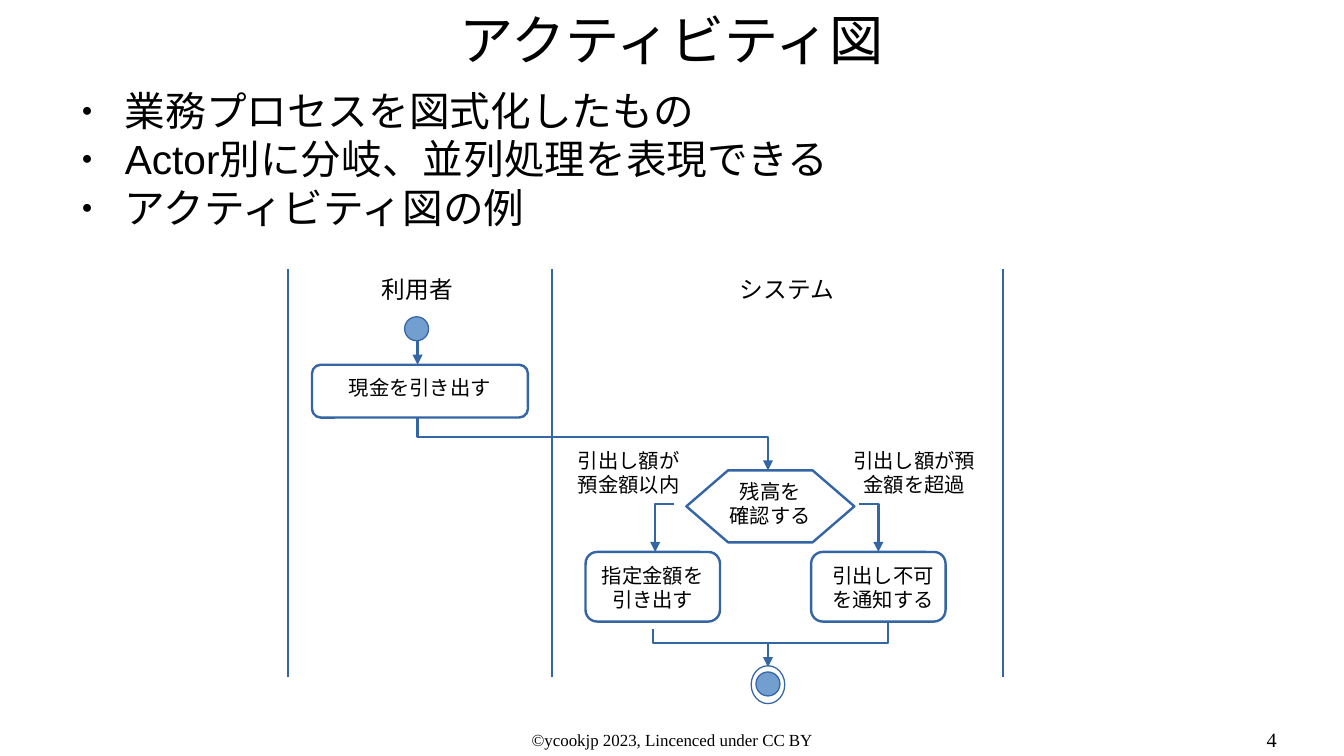
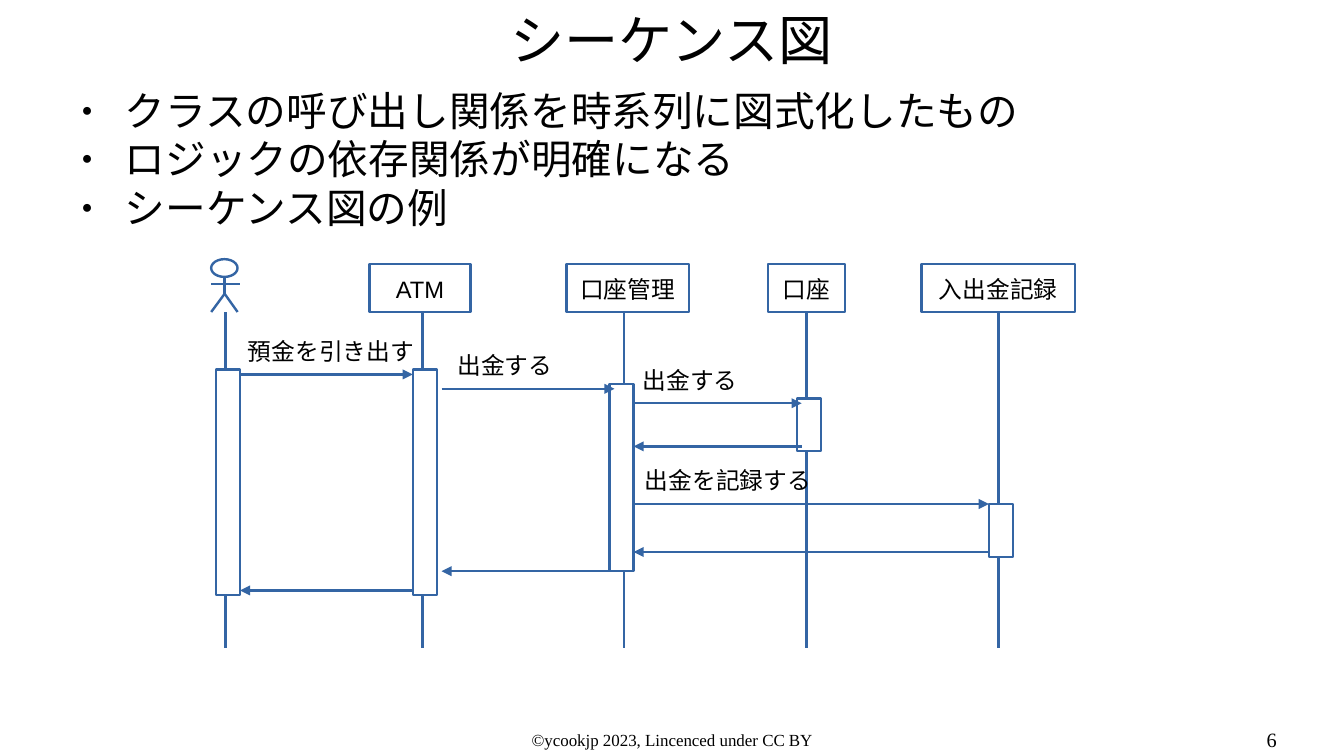
from lxml.etree import SubElement
from pptx import Presentation
from pptx.dml.color import RGBColor
from pptx.enum.shapes import MSO_CONNECTOR, MSO_SHAPE
from pptx.enum.text import MSO_ANCHOR, MSO_AUTO_SIZE, PP_ALIGN
from pptx.oxml.ns import qn
from pptx.util import Cm, Pt

BLACK = RGBColor(0x00, 0x00, 0x00)
WHITE = RGBColor(0xFF, 0xFF, 0xFF)
BLUE_LINE = RGBColor(0x34, 0x65, 0xA4)
BLUE_FILL = RGBColor(0x72, 0x9F, 0xCF)
SANS = "Arial"
SERIF = "Times New Roman"
LINE_WIDTH = 1.42
FOOTER = "©ycookjp 2023, Lincenced under CC BY"


def place(target, left, top, width, height):
    target.left, target.top = Cm(left), Cm(top)
    target.width, target.height = Cm(width), Cm(height)


def set_frame(frame, insets, anchor=MSO_ANCHOR.TOP, wrap=True):
    frame.auto_size = MSO_AUTO_SIZE.NONE
    frame.word_wrap = wrap
    frame.vertical_anchor = anchor
    frame.margin_left, frame.margin_top, frame.margin_right, frame.margin_bottom = map(Cm, insets)


def write(frame, text, size, align=PP_ALIGN.CENTER, font=SANS):
    frame.text = text
    for paragraph in frame.paragraphs:
        paragraph.alignment = align
        for run in paragraph.runs:
            run.font.name = font
            run.font.size = Pt(size)
            run.font.color.rgb = BLACK


def add_label(slide, text, box, size, insets=(0.25, 0.13, 0.25, 0.13),
              align=PP_ALIGN.CENTER, font=SANS):
    label = slide.shapes.add_textbox(*map(Cm, box))
    set_frame(label.text_frame, insets)
    write(label.text_frame, text, size, align, font)


def outline(shape, width=LINE_WIDTH, arrow=False):
    shape.line.color.rgb = BLUE_LINE
    shape.line.width = Pt(width)
    if arrow:
        SubElement(shape.element.spPr.find(qn("a:ln")), qn("a:tailEnd"), type="triangle")


def paint(shape, fill=None, width=LINE_WIDTH, arrow=False):
    shape.shadow.inherit = False
    if fill is None:
        shape.fill.background()
    else:
        shape.fill.solid()
        shape.fill.fore_color.rgb = fill
    outline(shape, width, arrow)


def add_figure(shapes, kind, box, fill=None, width=LINE_WIDTH):
    figure = shapes.add_shape(kind, *map(Cm, box))
    paint(figure, fill, width)
    return figure


def add_line(shapes, start, end, arrow=False):
    line = shapes.add_connector(MSO_CONNECTOR.STRAIGHT, *map(Cm, (*start, *end)))
    outline(line, arrow=arrow)
    SubElement(line.element.spPr, qn("a:effectLst"))


def add_route(slide, points, arrow=True):
    start, *rest = [(Cm(x), Cm(y)) for x, y in points]
    builder = slide.shapes.build_freeform(*start)
    builder.add_line_segments(rest, close=False)
    paint(builder.convert_to_shape(), arrow=arrow)


def add_action(slide, text, box, shift=0):
    action = add_figure(slide.shapes, MSO_SHAPE.ROUNDED_RECTANGLE, box)
    set_frame(action.text_frame, (0.16 + shift, 0.16, 0.16 - shift, 0))
    write(action.text_frame, text, 12)


def add_bullet(paragraph):
    properties = paragraph._p.get_or_add_pPr()
    properties.set("marL", str(Cm(1.2)))
    properties.set("indent", str(Cm(-0.9)))
    color = SubElement(properties, qn("a:buClr"))
    SubElement(color, qn("a:srgbClr"), val=str(BLACK))
    SubElement(properties, qn("a:buSzPct"), val="45000")
    SubElement(properties, qn("a:buChar"), char="●")
    paragraph.space_before = Pt(0)


def add_base_slide(deck, title, points, number):
    slide = deck.slides.add_slide(deck.slide_layouts[1])
    heading = slide.shapes.title
    place(heading, 1.4, 0.08, 25.2, 1.47)
    set_frame(heading.text_frame, (0, 0, 0, 0), MSO_ANCHOR.MIDDLE)
    write(heading.text_frame, title, 32)

    body = slide.placeholders[1]
    place(body, 1.4, 1.78, 25.2, 3.7)
    set_frame(body.text_frame, (0, 0, 0, 0))
    write(body.text_frame, "\n".join(points), 24, PP_ALIGN.LEFT)
    for paragraph in body.text_frame.paragraphs:
        add_bullet(paragraph)

    flush = (0, 0, 0, 0)
    add_label(slide, FOOTER, (9.6, 15.19, 8.8, 0.5), 10, flush, font=SERIF)
    add_label(slide, number, (20.1, 15.15, 6.5, 0.6), 12, flush, PP_ALIGN.RIGHT, SERIF)
    return slide


def draw_activity(slide):
    for x in (6, 11.5, 20.9):
        add_line(slide.shapes, (x, 5.6), (x, 14.1))
    for lane, left in (("利用者", 6.2), ("システム", 13.9)):
        add_label(slide, lane, (left, 5.6, 5, 1), 14)

    add_figure(slide.shapes, MSO_SHAPE.OVAL, (8.43, 6.6, 0.5, 0.5), BLUE_FILL, 0)
    final_node = slide.shapes.add_group_shape().shapes
    add_figure(final_node, MSO_SHAPE.OVAL, (15.75, 14, 0.5, 0.5), BLUE_FILL, 0)
    add_figure(final_node, MSO_SHAPE.OVAL, (15.65, 13.87, 0.7, 0.79), width=0)

    add_action(slide, "現金を引き出す", (6.5, 7.6, 4.5, 1.1))
    add_action(slide, "指定金額を引き出す", (12.2, 11.5, 2.8, 1.45))
    add_action(slide, "引出し不可を通知する", (16.9, 11.5, 2.8, 1.45), 0.1)

    decision = add_figure(slide.shapes, MSO_SHAPE.HEXAGON, (14.3, 9.8, 3.5, 1.5))
    decision.adjustments[0] = 0.58
    set_frame(decision.text_frame, (0, 0, 0, 0.12), MSO_ANCHOR.MIDDLE, wrap=False)
    write(decision.text_frame, "残高を\n確認する", 12)

    add_label(slide, "引出し額が預金額以内", (11.7, 9.2, 2.8, 1.4), 12)
    add_label(slide, "引出し額が預金額を超過", (17.5, 9.2, 3.1, 1.4), 12)

    add_line(slide.shapes, (8.7, 7.1), (8.7, 7.6), arrow=True)
    add_route(slide, [(8.7, 8.7), (8.7, 9.1), (16, 9.1), (16, 9.8)])
    add_route(slide, [(14.05, 10.5), (13.65, 10.5), (13.65, 11.5)])
    add_route(slide, [(17.9, 10.5), (18.3, 10.5), (18.3, 11.5)])
    add_route(slide, [(13.6, 13.1), (13.6, 13.4), (18.5, 13.4), (18.5, 12.95)], arrow=False)
    add_line(slide.shapes, (16, 13.4), (16, 13.9), arrow=True)


def draw_actor(slide):
    actor = slide.shapes.add_group_shape().shapes
    add_figure(actor, MSO_SHAPE.OVAL, (4.4, 5.4, 0.55, 0.37))
    hip = (4.68, 6.12)
    for start, end in (
        ((4.4, 5.92), (5, 5.92)),
        ((4.68, 5.77), hip),
        (hip, (4.4, 6.5)),
        (hip, (4.95, 6.5)),
    ):
        add_line(actor, start, end)


def draw_sequence(slide):
    draw_actor(slide)
    for name, left, width in (
        ("ATM", 7.7, 2.1),
        ("口座管理", 11.8, 2.55),
        ("口座", 16, 1.6),
        ("入出金記録", 19.2, 3.2),
    ):
        participant = add_figure(slide.shapes, MSO_SHAPE.RECTANGLE, (left, 5.5, width, 1))
        set_frame(participant.text_frame, (0, 0.22, 0, 0), wrap=False)
        write(participant.text_frame, name, 14)

    for x in (4.7, 8.8, 13, 16.8, 20.8):
        add_line(slide.shapes, (x, 6.5), (x, 13.5))

    for left, top, height in (
        (4.5, 7.7, 4.7),
        (8.6, 7.7, 4.7),
        (12.7, 8, 3.9),
        (16.6, 8.3, 1.1),
        (20.6, 10.5, 1.1),
    ):
        add_figure(slide.shapes, MSO_SHAPE.RECTANGLE, (left, top, 0.5, height), WHITE)

    for sender, receiver, y in (
        (5, 8.6, 7.8),
        (9.2, 12.8, 8.1),
        (13.2, 16.7, 8.4),
        (16.7, 13.2, 9.3),
        (13.2, 20.6, 10.5),
        (20.6, 13.2, 11.5),
        (12.8, 9.2, 11.9),
        (8.6, 5, 12.3),
    ):
        add_line(slide.shapes, (sender, y), (receiver, y), arrow=True)

    for message, left, top, width in (
        ("預金を引き出す", 4.6, 6.88, 4.6),
        ("出金する", 9.15, 7.18, 2.74),
        ("出金する", 13.13, 7.5, 2.5),
        ("出金を記録する", 12.87, 9.58, 4.6),
    ):
        add_label(slide, message, (left, top, width, 0.9), 14)


def main():
    deck = Presentation()
    deck.slide_width, deck.slide_height = Cm(28), Cm(15.75)
    draw_activity(add_base_slide(deck, "アクティビティ図", (
        "業務プロセスを図式化したもの",
        "Actor別に分岐、並列処理を表現できる",
        "アクティビティ図の例",
    ), "4"))
    draw_sequence(add_base_slide(deck, "シーケンス図", (
        "クラスの呼び出し関係を時系列に図式化したもの",
        "ロジックの依存関係が明確になる",
        "シーケンス図の例",
    ), "6"))
    deck.save("out.pptx")


if __name__ == "__main__":
    main()
